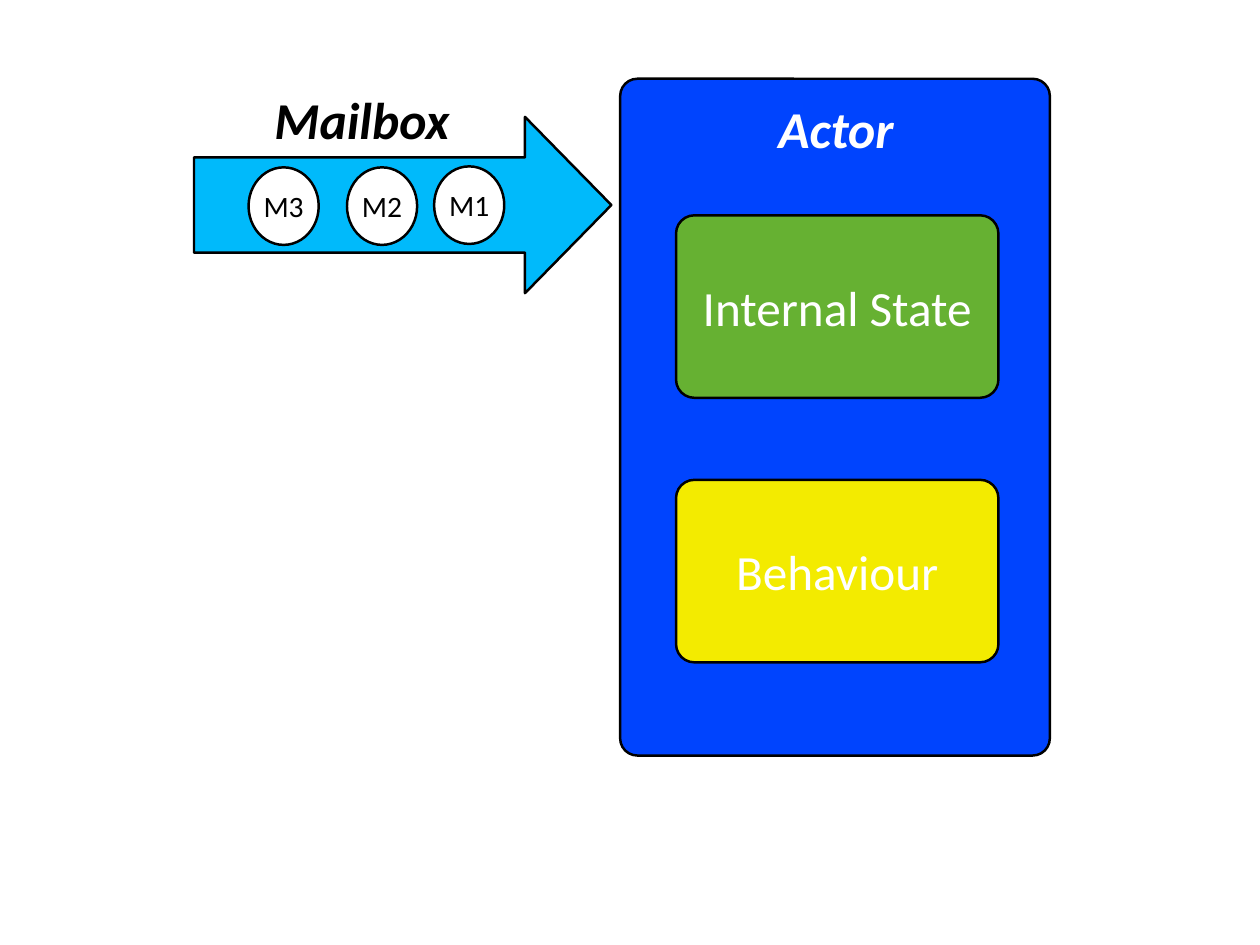
from dataclasses import dataclass

from pptx import Presentation
from pptx.dml.color import RGBColor
from pptx.enum.shapes import MSO_SHAPE
from pptx.enum.text import MSO_ANCHOR, PP_ALIGN
from pptx.util import Pt


@dataclass(frozen=True)
class Theme:
    """Colours, font and sizes of the actor diagram."""
    font: str = "Calibri"
    black: str = "000000"
    white: str = "FFFFFF"
    actor: str = "0044FE"
    state: str = "66B132"
    behaviour: str = "F3EB00"
    mailbox: str = "00BAFB"
    heading_size: int = 42
    part_size: int = 40
    message_size: int = 24
    outline: int = 2


THEME = Theme()


def write_text(frame, wording, size, colour, emphasis=False):
    """Write one centred run into a text frame without margins."""
    frame.margin_left = frame.margin_right = Pt(0)
    frame.margin_top = frame.margin_bottom = Pt(0)
    frame.vertical_anchor = MSO_ANCHOR.MIDDLE
    paragraph = frame.paragraphs[0]
    paragraph.alignment = PP_ALIGN.CENTER
    run = paragraph.add_run()
    run.text = wording
    run.font.name = THEME.font
    run.font.size = Pt(size)
    run.font.color.rgb = RGBColor.from_string(colour)
    run.font.bold = run.font.italic = emphasis


def add_outlined(slide, preset, bounds, fill, adjustments=()):
    """Add a filled preset shape with a black outline."""
    outlined = slide.shapes.add_shape(preset, *map(Pt, bounds))
    outlined.shadow.inherit = False
    outlined.fill.solid()
    outlined.fill.fore_color.rgb = RGBColor.from_string(fill)
    outlined.line.color.rgb = RGBColor.from_string(THEME.black)
    outlined.line.width = Pt(THEME.outline)
    for index, value in enumerate(adjustments):
        outlined.adjustments[index] = value
    return outlined


def add_heading(slide, wording, bounds, colour):
    """Add a bold italic heading."""
    heading = slide.shapes.add_textbox(*map(Pt, bounds))
    heading.text_frame.word_wrap = False
    write_text(heading.text_frame, wording, THEME.heading_size, colour, True)


def add_part(slide, wording, top, fill):
    """Add a rounded box for one part of the actor."""
    part = add_outlined(slide, MSO_SHAPE.ROUNDED_RECTANGLE,
                        (549.4, top, 262, 148.3), fill, (0.1,))
    write_text(part.text_frame, wording, THEME.part_size, THEME.white)


def add_message(slide, wording, left, top):
    """Add a round message waiting in the mailbox."""
    message = add_outlined(slide, MSO_SHAPE.OVAL, (left, top, 57, 63), THEME.white)
    message.text_frame.word_wrap = False
    write_text(message.text_frame, wording, THEME.message_size, THEME.black)


def main():
    """Build and save the actor slide."""
    deck = Presentation()
    deck.slide_width, deck.slide_height = Pt(1024), Pt(768)
    slide = deck.slides.add_slide(deck.slide_layouts[6])

    add_outlined(slide, MSO_SHAPE.ROUNDED_RECTANGLE,
                 (504, 64, 349.2, 550), THEME.actor, (0.04,))
    add_heading(slide, "Actor", (626.4, 78.5, 106, 50.4), THEME.white)
    add_part(slide, "Internal State", 175, THEME.state)
    add_part(slide, "Behaviour", 390, THEME.behaviour)

    add_outlined(slide, MSO_SHAPE.RIGHT_ARROW,
                 (157.7, 95, 339.2, 143.3), THEME.mailbox, (0.54, 0.49))
    for wording, left, top in (("M1", 352.8, 135.2), ("M2", 282, 136), ("M3", 202, 136)):
        add_message(slide, wording, left, top)
    add_heading(slide, "Mailbox", (214.6, 71.3, 159, 50.4), THEME.black)

    deck.save("out.pptx")


if __name__ == "__main__":
    main()
